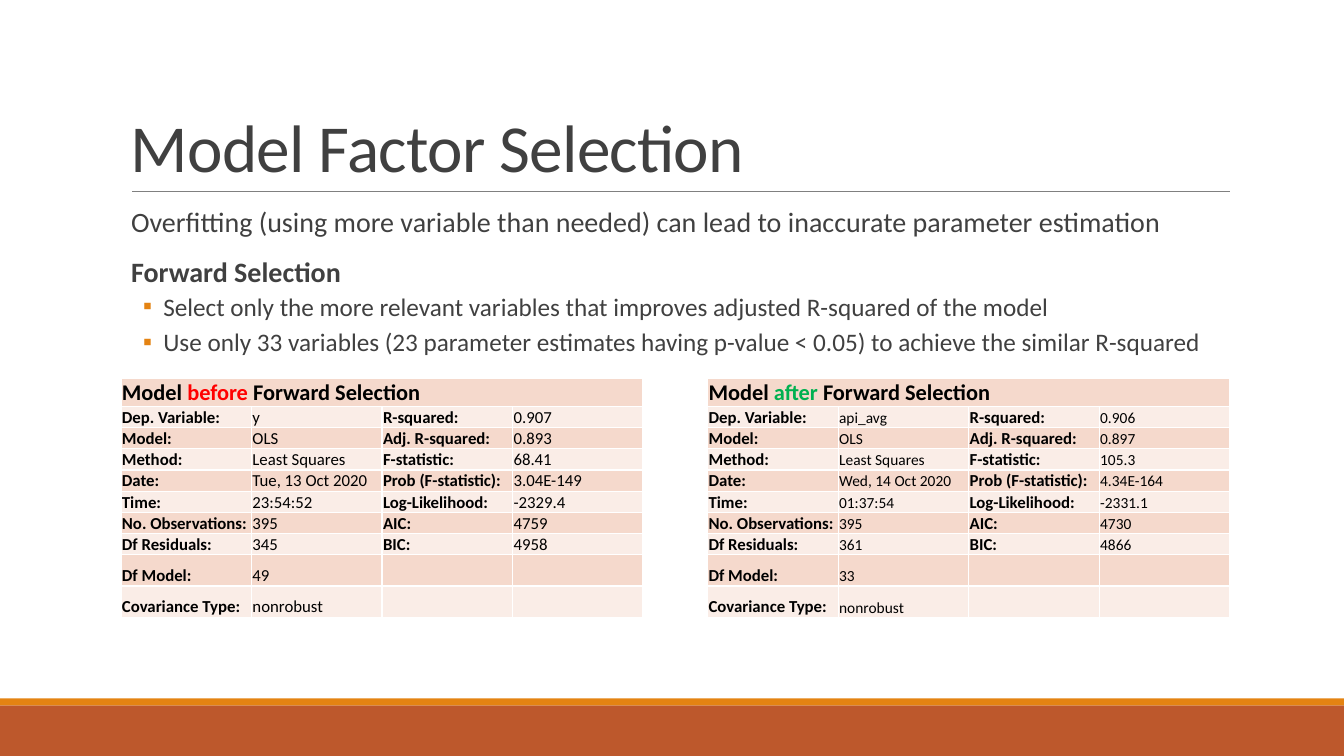
from collections import namedtuple

from lxml import etree
from pptx import Presentation
from pptx import util as u
from pptx.dml.color import RGBColor
from pptx.enum import shapes, text
from pptx.oxml import ns

WIDTH, HEIGHT = u.Inches(13.333), u.Inches(7.5)
COLUMN, ROW = WIDTH / 200, HEIGHT / 150
FONT = "Calibri"
WHITE = RGBColor(0xFF, 0xFF, 0xFF)
BLACK = RGBColor(0, 0, 0)
INK = RGBColor(0x40, 0x40, 0x40)
GREY = RGBColor(0x80, 0x80, 0x80)
RUST = RGBColor(0xBD, 0x58, 0x2C)
ORANGE = RGBColor(0xE4, 0x83, 0x12)
RED = RGBColor(0xFF, 0, 0)
GREEN = RGBColor(0, 0xB0, 0x50)
BANDS = RGBColor(0xF5, 0xD9, 0xCC), RGBColor(0xFA, 0xED, 0xE7)

Box = namedtuple("Box", "left top width height")

INTRO = "Overfitting (using more variable than needed) can lead to inaccurate parameter estimation"
POINTS = [
    "Select only the more relevant variables that improves adjusted R-squared of the model",
    "Use only 33 variables (23 parameter estimates having p-value < 0.05) to achieve the similar R-squared",
]
LEFT_LABELS = ["Dep. Variable:", "Model:", "Method:", "Date:", "Time:",
               "No. Observations:", "Df Residuals:", "Df Model:", "Covariance Type:"]
RIGHT_LABELS = ["R-squared:", "Adj. R-squared:", "F-statistic:", "Prob (F-statistic):",
                "Log-Likelihood:", "AIC:", "BIC:", "", ""]
BEFORE = (
    ["y", "OLS", "Least Squares", "Tue, 13 Oct 2020", "23:54:52", "395", "345", "49", "nonrobust"],
    ["0.907", "0.893", "68.41", "3.04E-149", "-2329.4", "4759", "4958", "", ""],
)
AFTER = (
    ["api_avg", "OLS", "Least Squares", "Wed, 14 Oct 2020", "01:37:54", "395", "361", "33", "nonrobust"],
    ["0.906", "0.897", "105.3", "4.34E-164", "-2331.1", "4730", "4866", "", ""],
)


def grid(left, top, width, height):
    """Return the box that covers the given columns and rows."""
    return Box(round(left * COLUMN), round(top * ROW), round(width * COLUMN), round(height * ROW))


def write(para, words, size=12, color=BLACK, bold=False, spacing=None):
    """Add a formatted span of words to a paragraph."""
    span = para.add_run()
    span.text = words
    span.font.name, span.font.size = FONT, u.Pt(size)
    span.font.bold, span.font.color.rgb = bold, color
    if spacing:
        span.font._element.set("spc", str(round(spacing * 100)))


def add_element(parent, tag, **attributes):
    """Append a drawing element with its attributes."""
    return etree.SubElement(parent, ns.qn("a:" + tag), attributes)


def indent(para, margin, hanging=0, bullet=None):
    """Set the margin of a paragraph and its bullet."""
    props = para._p.get_or_add_pPr()
    props.set("marL", str(u.Inches(margin)))
    props.set("indent", str(-u.Inches(hanging)))
    if bullet:
        add_element(add_element(props, "buClr"), "srgbClr", val=str(ORANGE))
        add_element(props, "buFont", typeface=FONT)
        add_element(props, "buChar", char=bullet)


def add_footer(page, box):
    """Draw the footer band with its thin stripe on top."""
    stripe = round(box.height * 0.12)
    bands = [(box.top + stripe, box.height - stripe, RUST), (box.top, stripe, ORANGE)]
    for top, height, color in bands:
        band = page.shapes.add_shape(shapes.MSO_SHAPE.RECTANGLE, box.left, top, box.width, height)
        band.shadow.inherit = False
        band.fill.solid()
        band.fill.fore_color.rgb = color
        band.line.fill.background()


def add_title(page, box):
    """Write the title and draw the rule below it."""
    frame = page.shapes.add_textbox(*box).text_frame
    frame.word_wrap, frame.vertical_anchor = True, text.MSO_ANCHOR.BOTTOM
    para = frame.paragraphs[0]
    para.line_spacing = 0.85
    write(para, "Model Factor Selection", size=48, color=INK, spacing=-0.5)
    bottom, inset = box.top + box.height, round(box.width * 0.01)
    rule = page.shapes.add_connector(shapes.MSO_CONNECTOR.STRAIGHT, box.left + inset, bottom,
                                     box.left + box.width, bottom)
    rule.line.color.rgb, rule.line.width = GREY, u.Pt(0.5)
    add_element(rule._element.spPr, "effectLst")


def add_body(page, box):
    """Write the introduction, the heading and its bulleted points."""
    frame = page.shapes.add_textbox(*box).text_frame
    frame.word_wrap = True
    frame.margin_left = frame.margin_right = 0
    lines = [(INTRO, False, False), ("Forward Selection", True, False)]
    lines += [(point, False, True) for point in POINTS]
    for number, (words, bold, bulleted) in enumerate(lines):
        para = frame.add_paragraph() if number else frame.paragraphs[0]
        para.line_spacing = 0.9
        para.space_before, para.space_after = (u.Pt(2), u.Pt(4)) if bulleted else (u.Pt(12), u.Pt(2))
        if bulleted:
            indent(para, 0.42, 0.2, "▪")
        else:
            indent(para, 0.1)
        write(para, words, size=18 if bulleted else 20, color=INK, bold=bold)


def format_cell(cell, color):
    """Give a cell its fill, narrow margins and white borders."""
    cell.vertical_anchor = text.MSO_ANCHOR.BOTTOM
    cell.margin_left = cell.margin_right = cell.margin_top = u.Inches(0.01)
    cell.margin_bottom = 0
    props = cell._tc.get_or_add_tcPr()
    for side in ("lnL", "lnR", "lnT", "lnB"):
        border = add_element(props, side, w=str(u.Pt(1)))
        add_element(add_element(border, "solidFill"), "srgbClr", val=str(WHITE))
    cell.fill.solid()
    cell.fill.fore_color.rgb = color


def add_summary(page, box, stage, color, values, size):
    """Draw the regression summary of one model as a table."""
    entries = list(zip(LEFT_LABELS, values[0], RIGHT_LABELS, values[1]))
    table = page.shapes.add_table(len(entries) + 1, 4, *box).table
    header = round(box.height * 0.13)
    for number, row in enumerate(table.rows):
        row.height = round((box.height - header) / len(entries)) if number else header
        for cell in row.cells:
            format_cell(cell, BANDS[number % 2])
    table.cell(0, 0).merge(table.cell(0, 3))
    heading = table.cell(0, 0).text_frame.paragraphs[0]
    for words, ink in (("Model ", BLACK), (stage, color), (" Forward Selection", BLACK)):
        write(heading, words, size=16, color=ink, bold=True)
    for number, entry in enumerate(entries, 1):
        for column, words in enumerate(entry):
            label = column % 2 == 0
            para = table.cell(number, column).text_frame.paragraphs[0]
            write(para, words, size=12 if label else size, bold=label)


def main():
    """Build the slide and save the deck."""
    deck = Presentation()
    deck.slide_width, deck.slide_height = WIDTH, HEIGHT
    page = deck.slides.add_slide(deck.slide_layouts[6])
    add_footer(page, grid(0, 138.6, 200, 11.4))
    add_title(page, grid(18, 6.2, 165, 31.8))
    add_body(page, grid(18, 40.4, 165, 88))
    add_summary(page, grid(105.3, 75, 77.7, 43.4), "after", GREEN, AFTER, 11)
    add_summary(page, grid(18, 75, 77.7, 43.4), "before", RED, BEFORE, 12)
    deck.save("out.pptx")


if __name__ == "__main__":
    main()
